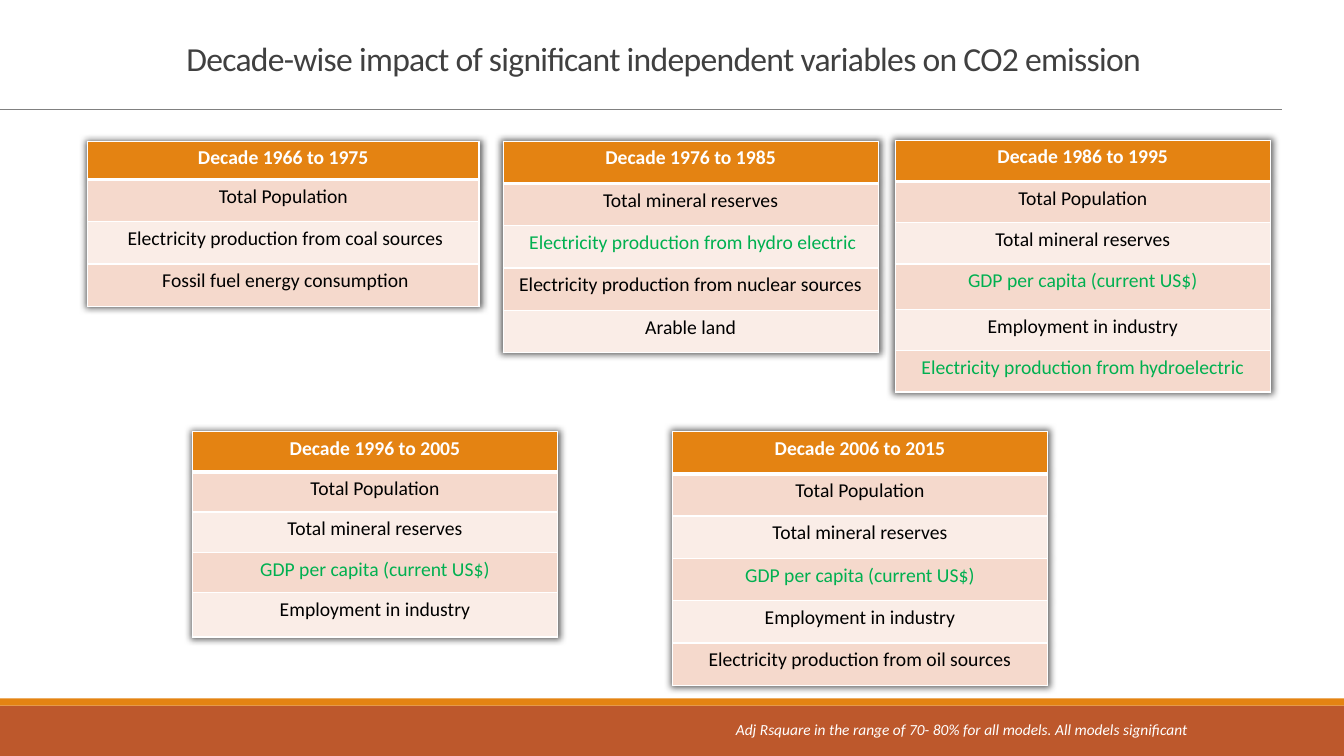
import pptx
import pptx.util
import pptx.dml.color
import pptx.enum.shapes
import pptx.enum.text
import pptx.oxml
import lxml.etree

Inches = pptx.util.Inches
Pt = pptx.util.Pt
NS = "http://schemas.openxmlformats.org/drawingml/2006/main"
COLORS = {"orange": "E48312", "rust": "BD582C", "odd": "F5D9CC", "even": "FAEDE7",
          "white": "FFFFFF", "black": "000000", "green": "00B050",
          "title": "404040", "rule": "808080"}
POPULATION = "Total Population"
MINERALS = "Total mineral reserves"
GDP = "GDP per capita (current US$)"
INDUSTRY = "Employment in industry"
HYDRO = "Electricity production from hydroelectric"
HYDRO_SPACED = " Electricity production from hydro electric"
GREEN_ROWS = {GDP, HYDRO, HYDRO_SPACED}

DECADES = [
    {"years": "1966 to 1975", "box": (0.87, 1.4, 3.88), "heights": [0.38] + [0.42] * 3,
     "rows": [POPULATION, " Electricity production from coal sources",
              " Fossil fuel energy consumption"]},
    {"years": "1976 to 1985", "box": (4.99, 1.4, 3.72), "heights": [0.42] * 5,
     "rows": [MINERALS, HYDRO_SPACED,
              "Electricity production from nuclear sources", "Arable land"]},
    {"years": "1986 to 1995", "box": (8.88, 1.39, 3.72),
     "heights": [0.41] * 3 + [0.45] + [0.41] * 2,
     "rows": [POPULATION, MINERALS, GDP, INDUSTRY, HYDRO]},
    {"years": "1996 to 2005", "box": (1.91, 4.28, 3.62), "heights": [0.4] * 4 + [0.44],
     "rows": [POPULATION, MINERALS, GDP, INDUSTRY]},
    {"years": "2006 to 2015", "box": (6.67, 4.28, 3.72), "heights": [0.42] * 6,
     "rows": [POPULATION, MINERALS, GDP, INDUSTRY,
              "Electricity production from oil sources"]},
]


def rgb(name):
    """Return the named colour."""
    return pptx.dml.color.RGBColor.from_string(COLORS[name])


def format_text(p, size, color, bold=False, italic=False):
    """Format every run of a paragraph."""
    for r in p.runs:
        r.font.name = "Calibri"
        r.font.size = Pt(size)
        r.font.bold = bold
        r.font.italic = italic
        r.font.color.rgb = rgb(color)


def add_title(s, left, top, width, height):
    """Place the title and the rule below it."""
    title = s.shapes.title
    title.left, title.top = Inches(left), Inches(top)
    title.width, title.height = Inches(width), Inches(height)
    tf = title.text_frame
    tf.text = "Decade-wise impact of significant independent variables on CO2 emission"
    tf.vertical_anchor = pptx.enum.text.MSO_ANCHOR.TOP
    tf.margin_right = Inches(0.64)
    p = tf.paragraphs[0]
    p.alignment = pptx.enum.text.PP_ALIGN.CENTER
    p.line_spacing = 0.85
    format_text(p, 24, "title")
    p.runs[0].font._element.set("spc", "-50")
    y = Inches(top + 0.7)
    rule = s.shapes.add_connector(pptx.enum.shapes.MSO_CONNECTOR.STRAIGHT,
                                  Inches(-0.02), y, Inches(12.72), y)
    rule.line.color.rgb = rgb("rule")
    rule.line.width = Pt(0.5)
    lxml.etree.SubElement(rule._element.spPr, f"{{{NS}}}effectLst")


def set_borders(cell, bottom):
    """Give a cell white borders, the bottom one of the given width."""
    tcPr = cell._tc.get_or_add_tcPr()
    for i, (side, width) in enumerate(zip("LRTB", (1, 1, 1, bottom))):
        ln = pptx.oxml.parse_xml(
            f'<a:ln{side} xmlns:a="{NS}" w="{Pt(width)}"><a:solidFill>'
            f'<a:srgbClr val="{COLORS["white"]}"/></a:solidFill></a:ln{side}>')
        tcPr.insert(i, ln)


def add_shadow(table):
    """Put a soft grey shadow around a table."""
    table._tbl.tblPr.insert(0, pptx.oxml.parse_xml(
        f'<a:effectLst xmlns:a="{NS}"><a:outerShdw blurRad="63500" sx="101000" sy="101000" '
        'algn="ctr" rotWithShape="0"><a:srgbClr val="000000"><a:alpha val="60000"/>'
        '</a:srgbClr></a:outerShdw></a:effectLst>'))


def add_decade(s, left, top, width, years, rows, heights):
    """Place the table of one decade."""
    texts = [f"Decade {years}"] + rows
    table = s.shapes.add_table(len(texts), 1, Inches(left), Inches(top),
                               Inches(width), Inches(sum(heights))).table
    add_shadow(table)
    for i, (text, height) in enumerate(zip(texts, heights)):
        table.rows[i].height = Inches(height)
        header = i == 0
        cell = table.cell(i, 0)
        cell.fill.solid()
        cell.fill.fore_color.rgb = rgb("orange" if header else "odd" if i % 2 else "even")
        set_borders(cell, 3 if header or i == 0 else 1)
        if i == 1:
            cell._tc.tcPr.find(f"{{{NS}}}lnT").set("w", str(Pt(3)))
        cell.text = text
        p = cell.text_frame.paragraphs[0]
        p.alignment = pptx.enum.text.PP_ALIGN.CENTER
        color = "white" if header else "green" if text in GREEN_ROWS else "black"
        format_text(p, 14, color, bold=header)


def add_footer(s, top, width, height):
    """Place the two bars at the bottom and the note on them."""
    stripe = 0.07
    for y, h, color in ((top + stripe, height - stripe, "rust"), (top, stripe, "orange")):
        bar = s.shapes.add_shape(pptx.enum.shapes.MSO_SHAPE.RECTANGLE, 0, Inches(y),
                                 Inches(width), Inches(h))
        bar.shadow.inherit = False
        bar.fill.solid()
        bar.fill.fore_color.rgb = rgb(color)
        bar.line.fill.background()
    note = s.shapes.add_textbox(Inches(7.2), Inches(top + 0.17), Inches(4.69), Inches(0.4))
    tf = note.text_frame
    tf.word_wrap = True
    tf.text = "Adj Rsquare in the range of 70- 80% for all models. All models significant"
    format_text(tf.paragraphs[0], 11, "white", italic=True)


def main():
    """Build the slide and save it."""
    prs = pptx.Presentation()
    prs.slide_width, prs.slide_height = Inches(13.33), Inches(7.5)
    s = prs.slides.add_slide(prs.slide_layouts[5])
    add_footer(s, 6.93, 13.33, 0.57)
    add_title(s, 1.35, 0.39, 11, 0.57)
    for decade in DECADES:
        add_decade(s, *decade["box"], decade["years"], decade["rows"], decade["heights"])
    prs.save("out.pptx")


if __name__ == "__main__":
    main()
